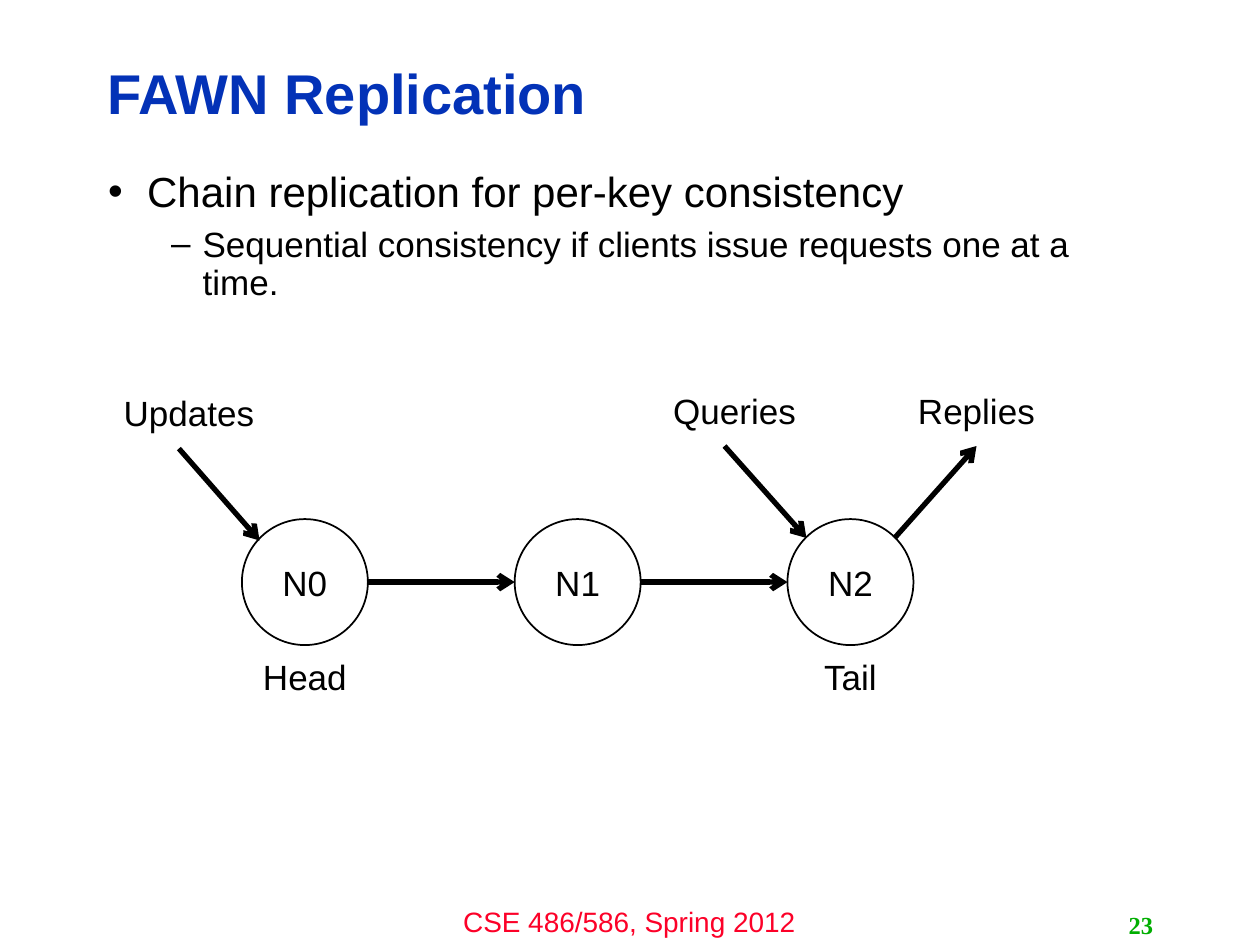
from dataclasses import dataclass

from lxml import etree
from pptx import Presentation
from pptx.dml.color import RGBColor
from pptx.enum.shapes import MSO_CONNECTOR, MSO_SHAPE
from pptx.enum.text import MSO_ANCHOR, MSO_AUTO_SIZE, PP_ALIGN
from pptx.oxml.ns import qn
from pptx.util import Inches, Pt

LEFT, CENTER, RIGHT = PP_ALIGN.LEFT, PP_ALIGN.CENTER, PP_ALIGN.RIGHT
TOP, MIDDLE = MSO_ANCHOR.TOP, MSO_ANCHOR.MIDDLE
STRAIGHT, OVAL = MSO_CONNECTOR.STRAIGHT, MSO_SHAPE.OVAL
NO_AUTOFIT = MSO_AUTO_SIZE.NONE

BLACK = RGBColor(0x00, 0x00, 0x00)
WHITE = RGBColor(0xFF, 0xFF, 0xFF)
BLUE = RGBColor(0x03, 0x32, 0xB7)
RED = RGBColor(0xFC, 0x01, 0x28)
GREEN = RGBColor(0x00, 0xAE, 0x00)

NODE_SIZE = 1.0
NODE_LEFT, NODE_TOP, NODE_STEP = 1.92, 4.12, 2.165
NODE_NAMES = ("N0", "N1", "N2")
LABEL_WIDTH, LABEL_HEIGHT = 1.5, 0.44


@dataclass(frozen=True)
class Label:
    text: str
    left: float
    top: float


@dataclass(frozen=True)
class Arrow:
    start: tuple[float, float]
    end: tuple[float, float]


@dataclass(frozen=True)
class Bullet:
    text: str
    symbol: str
    level: int
    margin: float
    hanging: float
    size: int
    space_before: float


LABELS = (
    Label("Queries", 5.08, 3.04),
    Label("Replies", 7.0, 3.04),
    Label("Updates", 0.75, 3.06),
    Label("Head", 1.67, 5.15),
    Label("Tail", 6.0, 5.15),
)
MESSAGE_ARROWS = (
    Arrow((5.75, 3.54), (6.4, 4.27)),
    Arrow((7.1, 4.27), (7.75, 3.54)),
    Arrow((1.42, 3.56), (2.06, 4.29)),
)
BULLETS = (
    Bullet("Chain replication for per-key consistency", "•", 0, 0.31, 0.31, 24, 0),
    Bullet("Sequential consistency if clients issue requests one at a time.",
           "–", 1, 0.75, 0.25, 20, 6),
)


def write_text(paragraph, text: str, *, size: float = 20, color: RGBColor = BLACK,
               font: str = "Arial", bold: bool = False, align=CENTER,
               line_spacing: float = 1.0, space_before: float = 0) -> None:
    paragraph.alignment = align
    paragraph.line_spacing = line_spacing
    paragraph.space_before = Pt(space_before)
    run = paragraph.add_run()
    run.text = text
    run.font.name = font
    run.font.size = Pt(size)
    run.font.bold = bold
    run.font.color.rgb = color


def add_text_box(slide, left: float, top: float, width: float, height: float,
                 anchor=TOP):
    box = slide.shapes.add_textbox(Inches(left), Inches(top),
                                   Inches(width), Inches(height))
    box.text_frame.word_wrap = True
    box.text_frame.vertical_anchor = anchor
    return box.text_frame


def add_bullet(paragraph, bullet: Bullet) -> None:
    paragraph.level = bullet.level
    properties = paragraph._p.get_or_add_pPr()
    properties.set("marL", str(Inches(bullet.margin)))
    properties.set("indent", str(-Inches(bullet.hanging)))
    etree.SubElement(properties, qn("a:buFont")).set("typeface", "Arial")
    etree.SubElement(properties, qn("a:buChar")).set("char", bullet.symbol)
    write_text(paragraph, bullet.text, size=bullet.size, align=LEFT,
               line_spacing=0.9, space_before=bullet.space_before)


def add_node(slide, name: str, left: float) -> None:
    node = slide.shapes.add_shape(OVAL, Inches(left), Inches(NODE_TOP),
                                  Inches(NODE_SIZE), Inches(NODE_SIZE))
    node.shadow.inherit = False
    node.fill.solid()
    node.fill.fore_color.rgb = WHITE
    node.line.color.rgb = BLACK
    node.line.width = Pt(1)
    node.text_frame.vertical_anchor = MIDDLE
    write_text(node.text_frame.paragraphs[0], name)


def add_arrow(slide, arrow: Arrow) -> None:
    points = [Inches(value) for value in (*arrow.start, *arrow.end)]
    connector = slide.shapes.add_connector(STRAIGHT, *points)
    connector.line.color.rgb = BLACK
    connector.line.width = Pt(3)
    line = connector.line._get_or_add_ln()
    etree.SubElement(line, qn("a:tailEnd")).set("type", "arrow")
    etree.SubElement(connector._element.spPr, qn("a:effectLst"))


def main() -> None:
    presentation = Presentation()
    presentation.slide_width = Inches(10)
    presentation.slide_height = Inches(7.5)
    slide = presentation.slides.add_slide(presentation.slide_layouts[5])

    # Title
    title = slide.shapes.title
    title.left, title.top = Inches(0.75), Inches(0.36)
    title.width, title.height = Inches(7.98), Inches(0.81)
    title.text_frame.auto_size = NO_AUTOFIT
    title.text_frame.vertical_anchor = MIDDLE
    write_text(title.text_frame.paragraphs[0], "FAWN Replication", size=32,
               color=BLUE, bold=True, align=LEFT, line_spacing=0.9)

    # Bulleted body
    body = add_text_box(slide, 0.76, 1.31, 8.4, 5.39)
    for index, bullet in enumerate(BULLETS):
        add_bullet(body.add_paragraph() if index else body.paragraphs[0], bullet)

    # Footer and slide number
    footer = add_text_box(slide, 3.33, 7.13, 3.33, 0.37)
    write_text(footer.paragraphs[0], "CSE 486/586, Spring 2012", size=16, color=RED)
    number = add_text_box(slide, 7.17, 7.18, 2.08, 0.32, anchor=MIDDLE)
    write_text(number.paragraphs[0], "23", size=14, color=GREEN,
               font="Times New Roman", bold=True, align=RIGHT)

    # Chain of nodes, with an arrow from each to the next
    node_lefts = [NODE_LEFT + index * NODE_STEP for index in range(len(NODE_NAMES))]
    for name, left in zip(NODE_NAMES, node_lefts):
        add_node(slide, name, left)
    middle = NODE_TOP + NODE_SIZE / 2
    for left, next_left in zip(node_lefts, node_lefts[1:]):
        add_arrow(slide, Arrow((left + NODE_SIZE, middle), (next_left, middle)))

    # Messages in and out of the chain
    for arrow in MESSAGE_ARROWS:
        add_arrow(slide, arrow)
    for label in LABELS:
        frame = add_text_box(slide, label.left, label.top, LABEL_WIDTH, LABEL_HEIGHT)
        write_text(frame.paragraphs[0], label.text)

    presentation.save("out.pptx")


if __name__ == "__main__":
    main()
